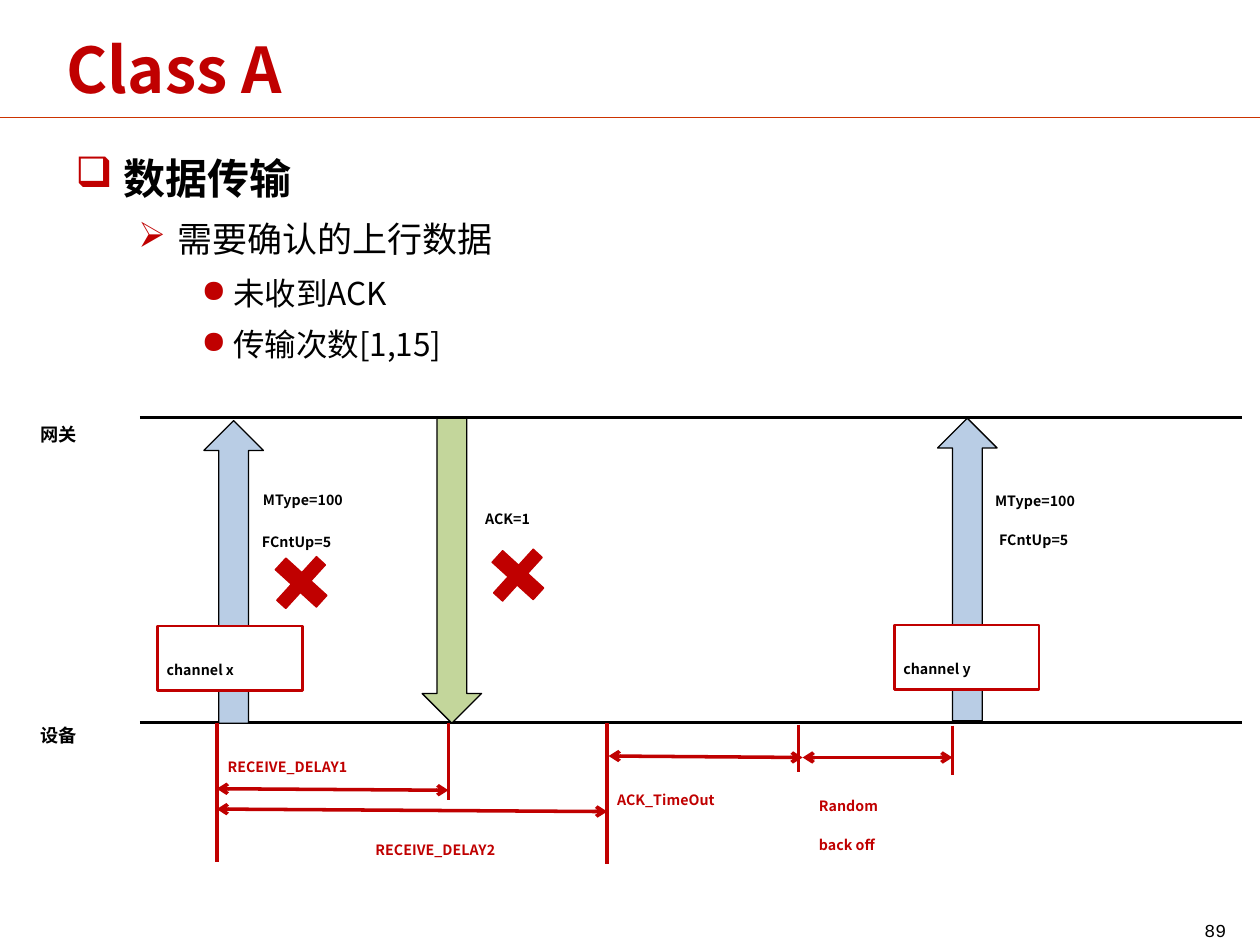
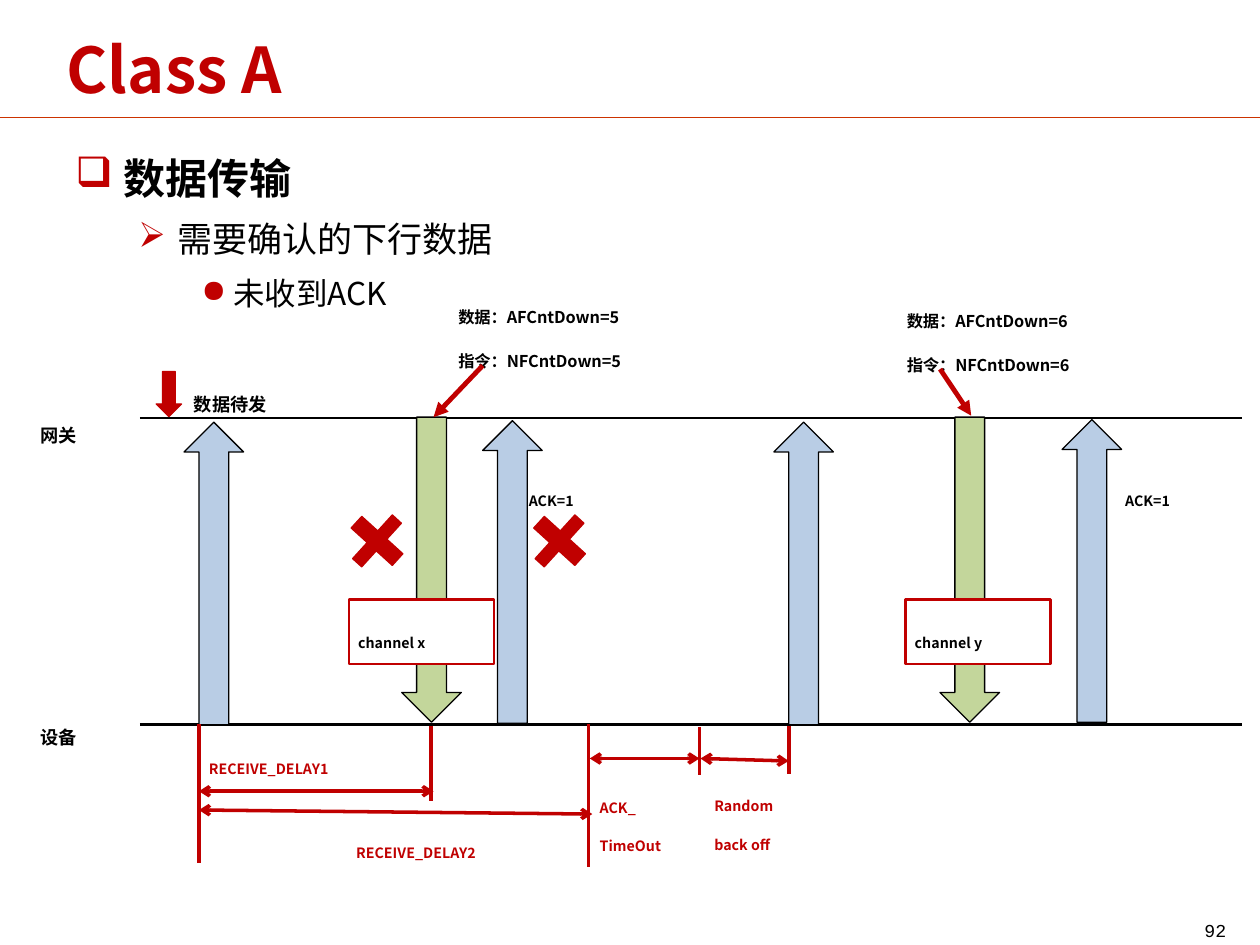
from typing import NamedTuple

from lxml import etree
from pptx import Presentation
from pptx.dml.color import RGBColor
from pptx.enum.shapes import MSO_CONNECTOR, MSO_SHAPE
from pptx.enum.text import MSO_ANCHOR, MSO_AUTO_SIZE, PP_ALIGN
from pptx.oxml.ns import qn
from pptx.util import Cm, Pt

# Shared look
RED = RGBColor(0xC0, 0x00, 0x00)
RULE_RED = RGBColor(0xCC, 0x33, 0x00)
BLACK = RGBColor(0x00, 0x00, 0x00)
WHITE = RGBColor(0xFF, 0xFF, 0xFF)
UPLINK_BLUE = RGBColor(0xB9, 0xCD, 0xE5)
DOWNLINK_GREEN = RGBColor(0xC3, 0xD6, 0x9B)
SANS, MONO = "Noto Sans CJK SC", "Courier New"
STRAIGHT = MSO_CONNECTOR.STRAIGHT
DOWN_ARROW, CROSS, RECTANGLE = MSO_SHAPE.DOWN_ARROW, MSO_SHAPE.CROSS, MSO_SHAPE.RECTANGLE
MIDDLE, TOP = MSO_ANCHOR.MIDDLE, MSO_ANCHOR.TOP
LEFT, RIGHT = PP_ALIGN.LEFT, PP_ALIGN.RIGHT
GROW = MSO_AUTO_SIZE.SHAPE_TO_FIT_TEXT
TITLE_ONLY = 5
SLIDE_WIDTH, SLIDE_HEIGHT = 25.4, 19.05
AXIS_LEFT, AXIS_RIGHT = 2.82, 25.04
SUBSCRIPT = "-25000"


class BulletLevel(NamedTuple):
    char: str
    margin: float
    hanging: float
    size: int
    bold: bool


BULLET_LEVELS = (
    BulletLevel("❑", 0.97, 0.97, 24, True),
    BulletLevel("➢", 2.06, 0.79, 20, False),
    BulletLevel("●", 3.18, 0.64, 18, False),
)


# All positions below are in centimetres
class Bullet(NamedTuple):
    level: int
    text: str


class Message(NamedTuple):
    left: float
    top: float
    uplink: bool


class Point(NamedTuple):
    left: float
    top: float


class Channel(NamedTuple):
    left: float
    top: float
    name: str


class Tick(NamedTuple):
    x: float
    top: float
    bottom: float


class Segment(NamedTuple):
    x1: float
    y1: float
    x2: float
    y2: float


class Label(NamedTuple):
    left: float
    top: float
    width: float
    text: str
    size: int = 14
    color: RGBColor = BLACK


class Timeline(NamedTuple):
    number: str
    bullets: list[Bullet]
    gateway_y: float
    device_y: float
    messages: list[Message]
    losses: list[Point]
    ticks: list[Tick]
    spans: list[Segment]
    channels: list[Channel]
    labels: list[Label]
    pending: list[Point]
    pointers: list[Segment]


UPLINK_UNACKNOWLEDGED = Timeline(
    number="89",
    bullets=[Bullet(0, "数据传输"), Bullet(1, "需要确认的上行数据"),
             Bullet(2, "未收到ACK"), Bullet(2, "传输次数[1,15]")],
    gateway_y=8.41,
    device_y=14.57,
    messages=[Message(4.11, 8.48, True), Message(8.51, 8.43, False),
              Message(18.9, 8.43, True)],
    losses=[Point(5.51, 11.15), Point(9.88, 11)],
    ticks=[Tick(4.37, 14.58, 17.37), Tick(9.04, 14.58, 16.13), Tick(12.24, 14.58, 17.42),
           Tick(16.1, 14.61, 15.57), Tick(19.2, 14.63, 15.62)],
    spans=[Segment(4.37, 15.9, 9.04, 15.93), Segment(4.37, 16.31, 12.24, 16.36),
           Segment(12.27, 15.24, 16.18, 15.27), Segment(16.18, 15.27, 19.2, 15.27)],
    channels=[Channel(18.03, 12.6, "channel y"), Channel(3.18, 12.62, "channel x")],
    labels=[
        Label(5.05, 9.45, 3.53, "MType=100"),
        Label(5.03, 10.29, 3.45, "FCntUp=5"),
        Label(9.53, 9.83, 2.24, "ACK=1"),
        Label(19.81, 9.47, 3.53, "MType=100"),
        Label(19.89, 10.26, 3.45, "FCntUp=5"),
        Label(4.34, 14.83, 4.72, "RECEIVE_DELAY1", color=RED),
        Label(7.32, 16.51, 5.11, "RECEIVE_DELAY2", color=RED),
        Label(12.19, 15.49, 3.99, "ACK_TimeOut", color=RED),
        Label(16.26, 15.62, 2.77, "Random\nback off", color=RED),
    ],
    pending=[],
    pointers=[],
)

DOWNLINK_UNACKNOWLEDGED = Timeline(
    number="92",
    bullets=[Bullet(0, "数据传输"), Bullet(1, "需要确认的下行数据"), Bullet(2, "未收到ACK")],
    gateway_y=8.43,
    device_y=14.6,
    messages=[Message(3.71, 8.51, True), Message(8.1, 8.41, False),
              Message(9.73, 8.48, True), Message(15.6, 8.51, True),
              Message(18.95, 8.41, False), Message(21.41, 8.46, True)],
    losses=[Point(10.72, 10.31), Point(7.04, 10.31)],
    ticks=[Tick(4.01, 14.6, 17.4), Tick(8.69, 14.63, 16.15), Tick(11.86, 14.6, 17.48),
           Tick(14.1, 14.66, 15.62), Tick(15.9, 14.63, 15.6)],
    spans=[Segment(4.01, 15.95, 8.74, 15.95), Segment(4.01, 16.33, 11.94, 16.41),
           Segment(11.89, 15.29, 14.1, 15.29), Segment(14.12, 15.29, 15.9, 15.34)],
    channels=[Channel(7.04, 12.09, "channel x"), Channel(18.26, 12.09, "channel y")],
    labels=[
        Label(3.66, 7.37, 3.2, "数据待发", 18),
        Label(10.41, 9.47, 2.44, "ACK=1"),
        Label(22.43, 9.47, 2.44, "ACK=1"),
        Label(3.96, 14.86, 4.78, "RECEIVE_DELAY1", color=RED),
        Label(6.93, 16.56, 5.16, "RECEIVE_DELAY2", color=RED),
        Label(11.84, 15.65, 4.01, "ACK_\nTimeOut", color=RED),
        Label(14.15, 15.62, 2.79, "Random\nback off", color=RED),
        Label(8.99, 5.69, 7.9, "数据：AFCntDown=5\n指令：NFCntDown=5", 16),
        Label(18.03, 5.77, 7.9, "数据：AFCntDown=6\n指令：NFCntDown=6", 16),
    ],
    pending=[Point(3.15, 7.49)],
    pointers=[Segment(9.73, 7.37, 8.74, 8.41), Segment(18.95, 7.44, 19.58, 8.38)],
)


# Drawing helpers
def apply(target, **values) -> None:
    for name, value in values.items():
        setattr(target, name, value)


def place(shape, left: float, top: float, width: float, height: float) -> None:
    apply(shape, left=Cm(left), top=Cm(top), width=Cm(width), height=Cm(height))


def write(paragraph, text: str, size: int, color: RGBColor, bold: bool = True,
          font: str = SANS, baseline: str = "0") -> None:
    run = paragraph.add_run()
    run.text = text
    apply(run.font, size=Pt(size), bold=bold, name=font)
    run.font.color.rgb = color
    properties = run._r.get_or_add_rPr()
    properties.set("baseline", baseline)
    etree.SubElement(properties, qn("a:ea"), typeface=font)


def add_text_box(slide, left: float, top: float, width: float, height: float):
    box = slide.shapes.add_textbox(Cm(left), Cm(top), Cm(width), Cm(height))
    box.text_frame.word_wrap = True
    return box.text_frame


def add_line(slide, segment: Segment, color: RGBColor, width: float,
             head: str = "", tail: str = "") -> None:
    line = slide.shapes.add_connector(STRAIGHT, *(Cm(value) for value in segment))
    line.line.color.rgb = color
    line.line.width = Pt(width)
    properties = line._element.spPr
    for tag, arrow in (("a:headEnd", head), ("a:tailEnd", tail)):
        if arrow:
            etree.SubElement(properties.find(qn("a:ln")), qn(tag), type=arrow)
    etree.SubElement(properties, qn("a:effectLst"))


def add_outlined(slide, preset, left: float, top: float, width: float, height: float,
                 fill: RGBColor, outline: RGBColor, weight: float = 0.75):
    shape = slide.shapes.add_shape(preset, Cm(left), Cm(top), Cm(width), Cm(height))
    shape.shadow.inherit = False
    shape.fill.solid()
    shape.fill.fore_color.rgb = fill
    shape.line.color.rgb = outline
    shape.line.width = Pt(weight)
    return shape


def add_label(slide, label: Label) -> None:
    lines = label.text.split("\n")
    em_height = 1.23 * len(lines) + 0.2 * (len(lines) - 1)
    height = 0.25 + Pt(label.size).cm * em_height
    frame = add_text_box(slide, label.left, label.top, label.width, height)
    frame.auto_size = GROW
    for index, line in enumerate(lines):
        paragraph = frame.add_paragraph() if index else frame.paragraphs[0]
        paragraph.space_before = Pt(0.2 * label.size if index else 0)
        write(paragraph, line, label.size, label.color, baseline=SUBSCRIPT)


def add_channel(slide, channel: Channel) -> None:
    add_outlined(slide, RECTANGLE, channel.left, channel.top, 2.92, 1.3, WHITE, RED, 1.5)
    add_label(slide, Label(channel.left - 0.07, channel.top + 0.25, 3.05, channel.name))


def add_message(slide, message: Message) -> None:
    fill, height = (UPLINK_BLUE, 6.1) if message.uplink else (DOWNLINK_GREEN, 6.15)
    arrow = add_outlined(slide, DOWN_ARROW, message.left, message.top, 1.2, height, fill, BLACK)
    arrow.rotation = 180 if message.uplink else 0


def add_bullets(slide, bullets: list[Bullet]) -> None:
    frame = add_text_box(slide, 1.27, 2.74, 23.06, 15.04)
    for index, bullet in enumerate(bullets):
        level = BULLET_LEVELS[bullet.level]
        paragraph = frame.add_paragraph() if index else frame.paragraphs[0]
        properties = paragraph._p.get_or_add_pPr()
        properties.set("marL", str(Cm(level.margin)))
        properties.set("indent", str(-Cm(level.hanging)))
        color = etree.SubElement(properties, qn("a:buClr"))
        etree.SubElement(color, qn("a:srgbClr"), val=str(RED))
        etree.SubElement(properties, qn("a:buChar"), char=level.char)
        apply(paragraph, level=bullet.level, line_spacing=1.2,
              space_before=Pt(0.2 * level.size if index else 0))
        write(paragraph, bullet.text, level.size, BLACK, level.bold)


def add_frame(slide, number: str) -> None:
    # Title, rule and page number
    add_line(slide, Segment(0, 2.36, SLIDE_WIDTH, 2.36), RULE_RED, 0.25)
    title = slide.shapes.title
    place(title, 1.09, 0.1, 22.89, 2.54)
    title.text_frame.vertical_anchor = MIDDLE
    heading = title.text_frame.paragraphs[0]
    heading.alignment = LEFT
    write(heading, "Class A", 36, RED)
    page = add_text_box(slide, 22.86, 18.21, 2.11, 0.64)
    page.vertical_anchor = MIDDLE
    page.paragraphs[0].alignment = RIGHT
    write(page.paragraphs[0], number, 18, BLACK, False, MONO, SUBSCRIPT)


def add_timeline(slide, timeline: Timeline) -> None:
    add_frame(slide, timeline.number)
    add_bullets(slide, timeline.bullets)
    # Gateway and device axes
    for name, y, drop in (("网关", timeline.gateway_y, -0.43),
                          ("设备", timeline.device_y, -0.52)):
        add_line(slide, Segment(AXIS_LEFT, y, AXIS_RIGHT, y), BLACK, 1.5)
        add_label(slide, Label(0.56, y + drop, 1.85, name, 18))
    # Messages, pending data and losses
    for message in timeline.messages:
        add_message(slide, message)
    for left, top in timeline.pending:
        add_outlined(slide, DOWN_ARROW, left, top, 0.51, 0.91, RED, RED)
    for left, top in timeline.losses:
        cross = add_outlined(slide, CROSS, left, top, 1.12, 1.19, RED, RED)
        cross.adjustments[0] = 0.39
        cross.rotation = 42.3
    # Delays below the device axis
    for x, top, bottom in timeline.ticks:
        add_line(slide, Segment(x, top, x, bottom), RED, 2)
    for span in timeline.spans:
        add_line(slide, span, RED, 2, head="arrow", tail="arrow")
    # Names and notes
    for channel in timeline.channels:
        add_channel(slide, channel)
    for label in timeline.labels:
        add_label(slide, label)
    for pointer in timeline.pointers:
        add_line(slide, pointer, RED, 2.75, tail="triangle")


def main() -> None:
    deck = Presentation()
    apply(deck, slide_width=Cm(SLIDE_WIDTH), slide_height=Cm(SLIDE_HEIGHT))
    for timeline in (UPLINK_UNACKNOWLEDGED, DOWNLINK_UNACKNOWLEDGED):
        add_timeline(deck.slides.add_slide(deck.slide_layouts[TITLE_ONLY]), timeline)
    deck.save("out.pptx")


if __name__ == "__main__":
    main()
